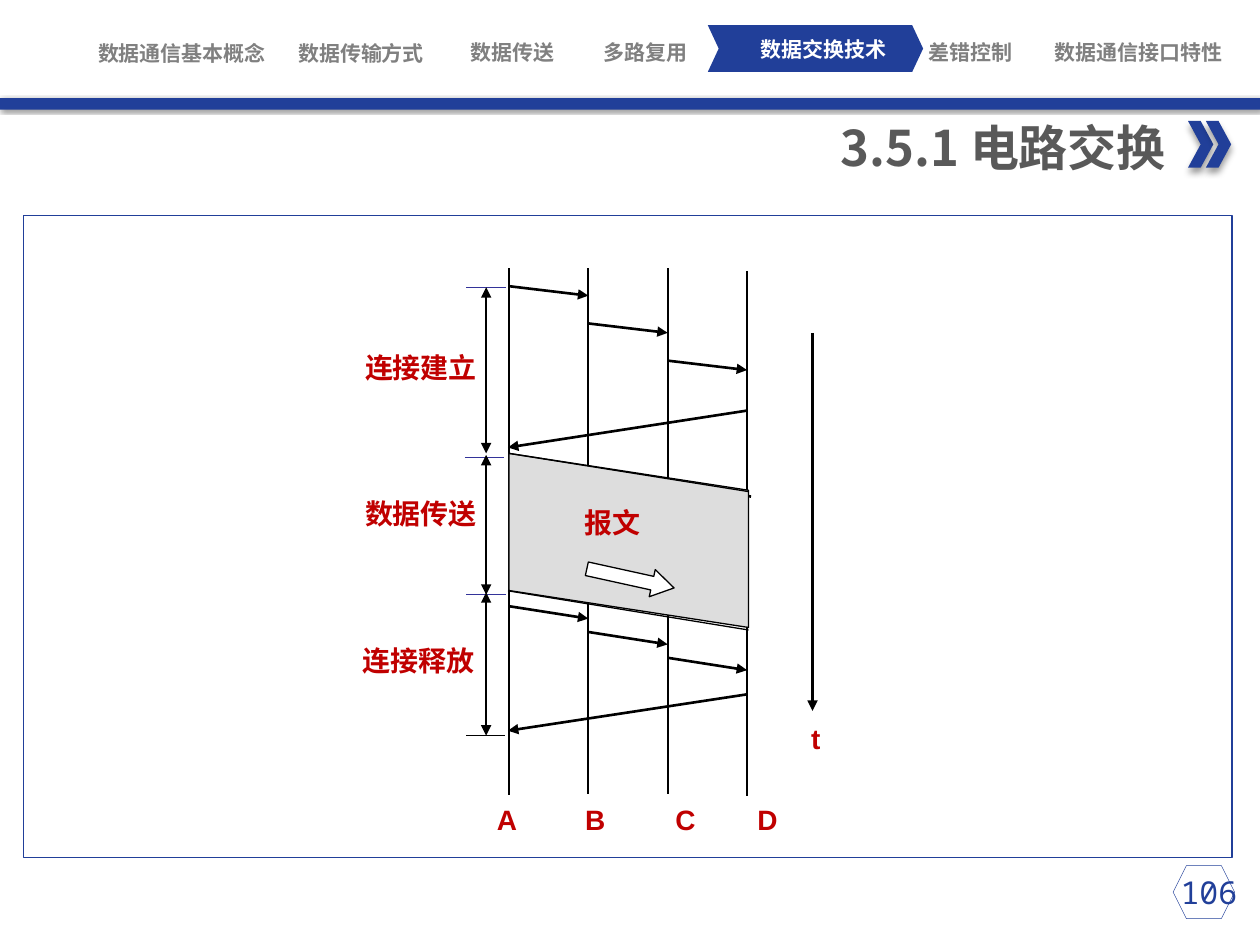
"""Build the slide on circuit switching with its timing diagram."""
from dataclasses import dataclass

import pptx
import pptx.dml.color
import pptx.enum.shapes
import pptx.enum.text
import pptx.oxml
import pptx.oxml.ns
import pptx.util
from lxml import etree

Cm, Pt = pptx.util.Cm, pptx.util.Pt
SHAPE = pptx.enum.shapes.MSO_SHAPE
ALIGN = pptx.enum.text.PP_ALIGN
ANCHOR = pptx.enum.text.MSO_ANCHOR
qn = pptx.oxml.ns.qn

BLUE, RED, GREY, BLACK, WHITE = "213F99", "C00000", "808080", "000000", "FFFFFF"
TICK_BLUE = "333399"
NODE_LEFT, NODE_GAP = 10.26, 1.6


@dataclass
class Tab:
    text: str
    x: float
    y: float
    w: float = 3.68
    color: str = GREY


@dataclass
class Node:
    name: str
    label_x: float
    top: float = 5.41
    bottom: float = 16.0


@dataclass
class Phase:
    text: str
    x: float
    y: float
    start: float
    end: float


@dataclass
class Tick:
    x1: float
    x2: float
    y: float
    color: str = TICK_BLUE


@dataclass
class Exchange:
    start: float
    step: float
    drop: float
    reply_start: float
    reply_end: float


TABS = [
    Tab("数据通信基本概念", 1.83, 0.81),
    Tab("数据传输方式", 5.44, 0.81),
    Tab("数据传送", 8.71, 0.79, 3.23),
    Tab("多路复用", 11.18, 0.79),
    Tab("数据交换技术", 14.76, 0.74, color=WHITE),
    Tab("差错控制", 17.73, 0.79),
    Tab("数据通信接口特性", 20.52, 0.79, 4.88),
]
NODES = [
    Node("A", 10.22, bottom=16.03),
    Node("B", 12.0),
    Node("C", 13.82),
    Node("D", 15.47, 5.46, 16.05),
]
PHASES = [
    Phase("连接建立", 7.11, 7.01, 5.79, 9.14),
    Phase("数据传送", 7.11, 9.96, 9.17, 11.99),
    Phase("连接释放", 7.06, 12.93, 11.94, 14.83),
]
TICKS = [
    Tick(9.4, 10.21, 5.79),
    Tick(9.37, 10.16, 9.22),
    Tick(9.4, 10.21, 11.99),
    Tick(9.4, 10.19, 14.83, BLACK),
]
EXCHANGES = [
    Exchange(5.77, 0.75, 0.19, 8.28, 9.02),
    Exchange(12.22, 0.52, 0.25, 14.0, 14.73),
]


def rgb(value: str) -> pptx.dml.color.RGBColor:
    return pptx.dml.color.RGBColor.from_string(value)


def add_shape(s, kind, x: float, y: float, w: float, h: float, fill: str = "",
              line: str = "", width: float = 0.75, rotation: float = 0, adj=()):
    sp = s.shapes.add_shape(kind, Cm(x), Cm(y), Cm(w), Cm(h))
    sp.shadow.inherit = False
    sp.rotation = rotation
    for i, value in enumerate(adj):
        sp.adjustments[i] = value
    if fill:
        sp.fill.solid()
        sp.fill.fore_color.rgb = rgb(fill)
    else:
        sp.fill.background()
    if line:
        sp.line.color.rgb = rgb(line)
        sp.line.width = Pt(width)
    else:
        sp.line.fill.background()
    return sp


def add_shadow(sp, blur: float, distance: float, angle: int) -> None:
    effects = sp._element.spPr.find(qn("a:effectLst"))
    shadow = etree.SubElement(effects, qn("a:outerShdw"), blurRad=str(Pt(blur)),
                              dist=str(Pt(distance)), dir=str(angle * 60000),
                              algn="t", rotWithShape="0")
    color = etree.SubElement(shadow, qn("a:srgbClr"), val=BLACK)
    etree.SubElement(color, qn("a:alpha"), val="40000")


def add_line(s, x1: float, y1: float, x2: float, y2: float, width: float = 0.75,
             color: str = BLACK, head: bool = False, tail: bool = False) -> None:
    c = s.shapes.add_connector(pptx.enum.shapes.MSO_CONNECTOR.STRAIGHT,
                               Cm(x1), Cm(y1), Cm(x2), Cm(y2))
    c.line.color.rgb = rgb(color)
    c.line.width = Pt(width)
    ln = c.line._get_or_add_ln()
    for shown, tag in ((head, "a:headEnd"), (tail, "a:tailEnd")):
        if shown:
            etree.SubElement(ln, qn(tag), type="triangle")
    etree.SubElement(c._element.spPr, qn("a:effectLst"))


def add_text(s, text: str, x: float, y: float, w: float, h: float, size: float = 16,
             font: str = "Arial", color: str = RED, bold: bool = True, align=ALIGN.LEFT,
             anchor=ANCHOR.TOP, wrap: bool = False, inset: bool = True,
             spacing: float = 1.0) -> None:
    tf = s.shapes.add_textbox(Cm(x), Cm(y), Cm(w), Cm(h)).text_frame
    tf.word_wrap = wrap
    tf.vertical_anchor = anchor
    if not inset:
        tf.margin_left = tf.margin_right = tf.margin_top = tf.margin_bottom = 0
    p = tf.paragraphs[0]
    p.alignment = align
    p.line_spacing = spacing
    r = p.add_run()
    r.text = text
    r.font.size = Pt(size)
    r.font.name = font
    r.font.bold = bold
    r.font.color.rgb = rgb(color)
    etree.SubElement(r._r.get_or_add_rPr(), qn("a:ea"), typeface="Noto Sans CJK SC")


def add_header(s) -> None:
    add_shape(s, SHAPE.CHEVRON, 14.27, 0.51, 4.34, 0.94, BLUE, adj=[0.234])
    for tab in TABS:
        add_text(s, tab.text, tab.x, tab.y, tab.w, 0.51, 12, "Roboto Condensed", tab.color,
                 align=ALIGN.CENTER, anchor=ANCHOR.MIDDLE, wrap=True, inset=False)
    add_shadow(add_shape(s, SHAPE.RECTANGLE, 0, 1.98, 25.4, 0.23, BLUE), 2, 1, 45)
    for x in (23.95, 24.31):
        add_shadow(add_shape(s, SHAPE.CHEVRON, x, 2.44, 0.51, 0.94, BLUE), 4, 3, 90)
    add_text(s, "3.5.1 电路交换", 16.23, 2.24, 7.52, 1.45, 28, "Noto Sans CJK SC", "595959",
             align=ALIGN.RIGHT)


def add_message(s) -> None:
    add_line(s, 10.34, 9.27, 15.14, 10.01, 1.5)
    add_shape(s, SHAPE.PARALLELOGRAM, 10.92, 8.48, 3.51, 4.83, "DDDDDD", BLACK,
              rotation=90, adj=[0.212])
    add_text(s, "报文", 11.53, 10.06, 1.68, 0.97)
    add_shape(s, SHAPE.RIGHT_ARROW, 11.81, 11.38, 1.8, 0.56, WHITE, BLACK,
              rotation=12.4, adj=[0.5, 0.803])
    add_line(s, 10.26, 9.14, 15.09, 9.91)
    add_line(s, 10.24, 11.91, 15.09, 12.7)


def add_diagram(s) -> None:
    for tick in TICKS:
        add_line(s, tick.x1, tick.y, tick.x2, tick.y, color=tick.color)
    for phase in PHASES:
        add_line(s, 9.8, phase.start, 9.8, phase.end, head=True, tail=True)
        add_text(s, phase.text, phase.x, phase.y, 2.79, 0.86, spacing=0.9)
    xs = [NODE_LEFT + NODE_GAP * i for i in range(len(NODES))]
    for node, x in zip(NODES, xs):
        add_line(s, x, node.top, x, node.bottom, 1)
        add_text(s, node.name, node.label_x - 0.5, 16.05, 1, 0.94, align=ALIGN.CENTER)
    add_message(s)
    for ex in EXCHANGES:
        for i, (x1, x2) in enumerate(zip(xs, xs[1:])):
            y = ex.start + ex.step * i
            add_line(s, x1, y, x2, y + ex.drop, 1.5, tail=True)
        add_line(s, 15.04, ex.reply_start, 10.24, ex.reply_end, 1.5, tail=True)
    add_line(s, 16.38, 6.71, 16.38, 14.33, 1.5, tail=True)
    add_text(s, "t", 16.1, 14.43, 0.71, 0.94)


def main() -> None:
    prs = pptx.Presentation()
    prs.slide_width, prs.slide_height = Cm(25.4), Cm(19.05)
    s = prs.slides.add_slide(prs.slide_layouts[6])
    add_header(s)
    add_shape(s, SHAPE.HEXAGON, 23.65, 17.45, 1.24, 1.07, line=BLUE, width=0.25)
    add_text(s, "106", 23.37, 17.48, 2, 1.02, 18, "Noto Sans Mono", BLUE, bold=False,
             align=ALIGN.CENTER, wrap=True)
    add_diagram(s)
    add_shape(s, SHAPE.RECTANGLE, 0.48, 4.34, 24.36, 12.95, line=BLUE)
    prs.save("out.pptx")


if __name__ == "__main__":
    main()
